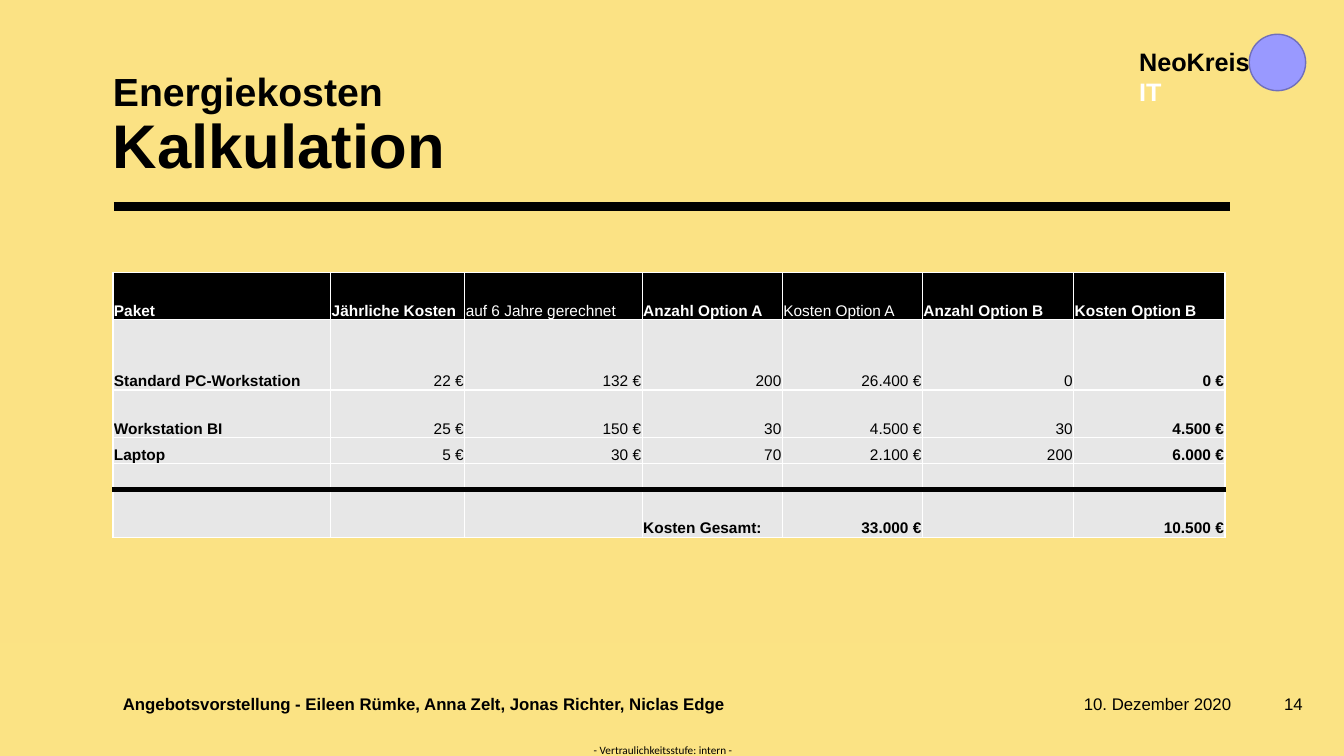
from lxml import etree
from pptx import Presentation
from pptx.dml.color import RGBColor
from pptx.enum.shapes import MSO_CONNECTOR, MSO_SHAPE
from pptx.enum.text import MSO_ANCHOR, MSO_AUTO_SIZE, PP_ALIGN
from pptx.oxml.ns import qn
from pptx.util import Inches, Pt

LEFT, CENTER, RIGHT = PP_ALIGN.LEFT, PP_ALIGN.CENTER, PP_ALIGN.RIGHT
TOP, MIDDLE, BOTTOM = MSO_ANCHOR.TOP, MSO_ANCHOR.MIDDLE, MSO_ANCHOR.BOTTOM
NONE = MSO_AUTO_SIZE.NONE
LINE = MSO_CONNECTOR.STRAIGHT
RECT, OVAL = MSO_SHAPE.RECTANGLE, MSO_SHAPE.OVAL

COLORS = {
    "back": "FBE384",
    "panel": "FBE284",
    "ink": "000000",
    "light": "FFFFFF",
    "cell": "E7E7E7",
    "disc": "9999FF",
    "edge": "706FBB",
}
COLS = [2.16, 1.33, 1.76, 1.39, 1.39, 1.5, 1.5]
HEIGHTS = [0.47, 0.7, 0.47, 0.26, 0.26, 0.47]
ROWS = [
    ["Paket", "Jährliche Kosten", "auf 6 Jahre gerechnet", "Anzahl Option A",
     "Kosten Option A", "Anzahl Option B", "Kosten Option B"],
    ["Standard PC-Workstation", "22 €", "132 €", "200", "26.400 €", "0", "0 €"],
    ["Workstation BI", "25 €", "150 €", "30", "4.500 €", "30", "4.500 €"],
    ["Laptop", "5 €", "30 €", "70", "2.100 €", "200", "6.000 €"],
    [""] * 7,
    ["", "", "", "Kosten Gesamt:", "33.000 €", "", "10.500 €"],
]
HEAD, TOTAL = 0, len(ROWS) - 1
PLAIN_HEADS = (2, 4)


def color(name):
    return RGBColor.from_string(COLORS[name])


def style(font, size, bold=False, ink="ink", face="Arial"):
    font.name, font.size, font.bold = face, Pt(size), bold
    font.color.rgb = color(ink)


def pad(item, left, top, right, bottom):
    item.margin_left, item.margin_top = Inches(left), Inches(top)
    item.margin_right, item.margin_bottom = Inches(right), Inches(bottom)


def add_text(slide, box, text, size=12, bold=False, align=LEFT, anchor=MIDDLE,
             inset=(0.1, 0.05, 0.1, 0.05), face="Arial"):
    frame = slide.shapes.add_textbox(*map(Inches, box)).text_frame
    frame.word_wrap = True
    frame.vertical_anchor = anchor
    pad(frame, *inset)
    para = frame.paragraphs[0]
    para.text, para.alignment = text, align
    style(para.font, size, bold, face=face)
    return para


def add_shape(slide, kind, box, fill, edge=None):
    shape = slide.shapes.add_shape(kind, *map(Inches, box))
    shape.shadow.inherit = False
    shape.fill.solid()
    shape.fill.fore_color.rgb = color(fill)
    if edge:
        shape.line.color.rgb = color(edge)
        shape.line.width = Pt(1)
    else:
        shape.line.fill.background()


def add_rule(slide, left, right, top):
    rule = slide.shapes.add_connector(
        LINE, Inches(left), Inches(top), Inches(right), Inches(top))
    rule.line.color.rgb = color("ink")
    rule.line.width = Pt(6)
    etree.SubElement(rule._element.spPr, qn("a:effectLst"))


def set_title(slide):
    title = slide.shapes.title
    title.left, title.top = Inches(1.12), Inches(1.09)
    title.width, title.height = Inches(11.04), Inches(0.71)
    frame = title.text_frame
    frame.auto_size, frame.word_wrap = NONE, True
    frame.vertical_anchor = BOTTOM
    pad(frame, 0, 0, 0, 0)
    para = frame.paragraphs[0]
    para.alignment, para.line_spacing = LEFT, 0.9
    first = para.add_run()
    first.text = "Energiekosten"
    style(first.font, 28, True)
    para.add_line_break()
    second = para.add_run()
    second.text = "Kalkulation"
    style(second.font, 44, True)


def add_border(cell):
    line = etree.Element(qn("a:lnT"), w=str(Pt(4)))
    fill = etree.SubElement(line, qn("a:solidFill"))
    etree.SubElement(fill, qn("a:srgbClr"), val=COLORS["ink"])
    cell._tc.get_or_add_tcPr().insert(0, line)


def is_bold(row, col):
    if row == HEAD:
        return col not in PLAIN_HEADS
    return row == TOTAL or col in (0, len(COLS) - 1)


def fill_cell(cell, row, col, text):
    head = row == HEAD
    cell.fill.solid()
    cell.fill.fore_color.rgb = color("ink" if head else "cell")
    cell.vertical_anchor = BOTTOM
    pad(cell, 0.01, 0.01, 0.01, 0)
    para = cell.text_frame.paragraphs[0]
    para.text = text
    number = text[:1].isdigit()
    para.alignment = RIGHT if number else LEFT
    style(para.font, 11, is_bold(row, col), "light" if head else "ink")
    if row == TOTAL:
        add_border(cell)


def add_costs(slide):
    table = slide.shapes.add_table(
        len(ROWS), len(COLS), Inches(1.12), Inches(2.7),
        Inches(sum(COLS)), Inches(sum(HEIGHTS))).table
    table.horz_banding = False
    for col, width in enumerate(COLS):
        table.columns[col].width = Inches(width)
    for row, texts in enumerate(ROWS):
        table.rows[row].height = Inches(HEIGHTS[row])
        for col, text in enumerate(texts):
            fill_cell(table.cell(row, col), row, col, text)


def add_brand(slide):
    add_shape(slide, OVAL, (12.39, 0.34, 0.56, 0.56), "disc", "edge")
    para = add_text(slide, (11.2, 0.41, 1.57, 0.4), "NeoKreis ", 18, True,
                    anchor=TOP)
    run = para.add_run()
    run.text = " IT"
    run.font.color.rgb = color("light")


def main():
    deck = Presentation()
    deck.slide_width, deck.slide_height = Inches(13.33), Inches(7.5)
    slide = deck.slides.add_slide(deck.slide_layouts[5])
    slide.background.fill.solid()
    slide.background.fill.fore_color.rgb = color("back")
    add_shape(slide, RECT, (0, 0, 12.2, 6.37), "panel")
    title = slide.shapes.title._element
    title.getparent().append(title)
    add_text(slide, (5.87, 7.37, 1.44, 0.13),
             "- Vertraulichkeitsstufe: intern - ", 8, align=CENTER, anchor=TOP,
             inset=(0, 0, 0, 0), face="Calibri")
    add_rule(slide, 1.13, 12.2, 2.05)
    set_title(slide)
    add_text(slide, (10.75, 6.88, 1.67, 0.2), "10. Dezember 2020",
             inset=(0, 0.05, 0, 0.05))
    add_text(slide, (1.12, 6.88, 9.55, 0.2),
             "Angebotsvorstellung - Eileen Rümke, Anna Zelt, Jonas Richter, "
             "Niclas Edge", bold=True)
    add_text(slide, (12.57, 6.88, 0.45, 0.2), "14", align=RIGHT)
    add_brand(slide)
    add_costs(slide)
    deck.save("out.pptx")


if __name__ == "__main__":
    main()
